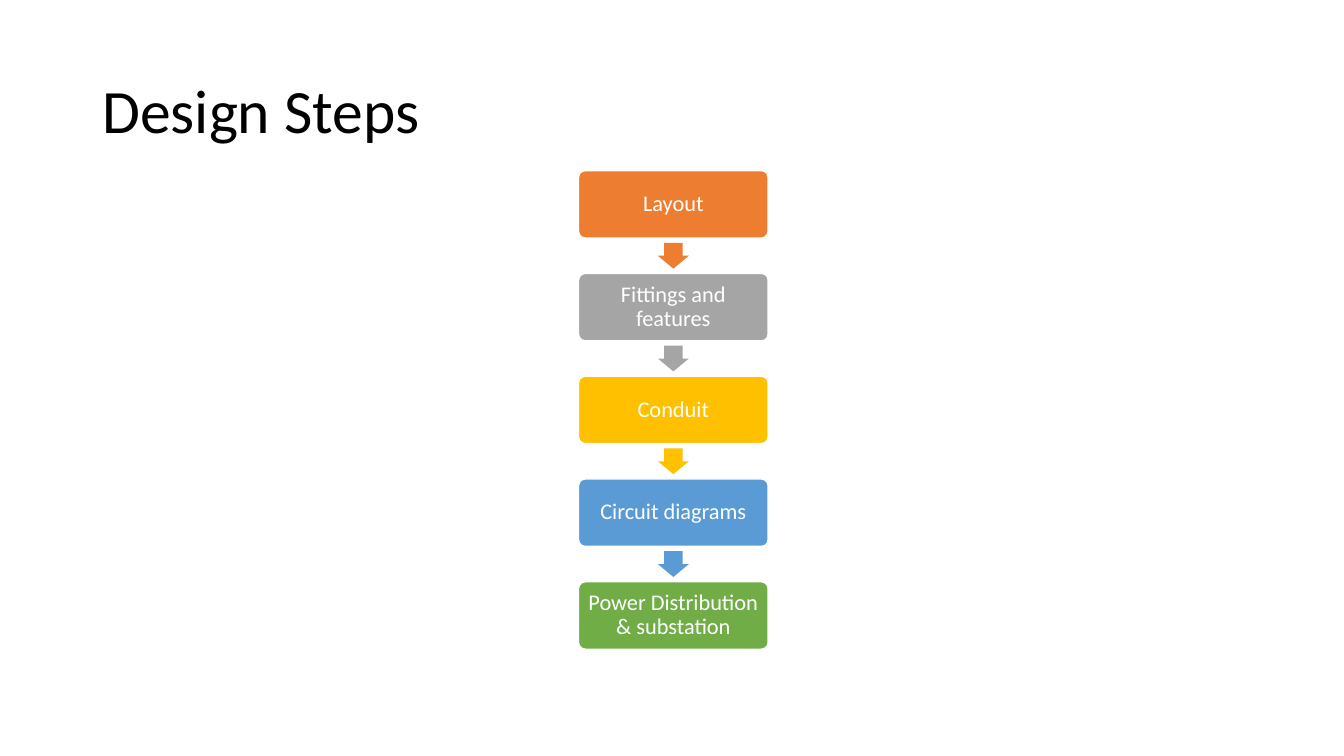
from pptx import Presentation
from pptx.dml.color import RGBColor
from pptx.enum.shapes import MSO_SHAPE
from pptx.enum.text import MSO_ANCHOR, PP_ALIGN
from pptx.util import Cm, Pt

COLORS = {
    "text": "000000",
    "white": "FFFFFF",
    "orange": "ED7D31",
    "gray": "A5A5A5",
    "gold": "FFC000",
    "blue": "5B9BD5",
    "green": "70AD47",
}
STEPS = [
    ("Layout", "orange"),
    ("Fittings and features", "gray"),
    ("Conduit", "gold"),
    ("Circuit diagrams", "blue"),
    ("Power Distribution & substation", "green"),
]


def color(name):
    return RGBColor.from_string(COLORS[name])


def write(sp, text, size=16, fill="white", align=PP_ALIGN.CENTER, inset=(0.17, 0.17)):
    tf = sp.text_frame
    tf.word_wrap = True
    tf.vertical_anchor = MSO_ANCHOR.MIDDLE
    tf.margin_left = tf.margin_right = Cm(inset[0])
    tf.margin_top = tf.margin_bottom = Cm(inset[1])
    p = tf.paragraphs[0]
    p.alignment = align
    p.line_spacing = 0.9
    r = p.add_run()
    r.text = text
    r.font.name = "Calibri"
    r.font.size = Pt(size)
    r.font.color.rgb = color(fill)


def add_block(s, kind, box, fill, adjustments, outline=None):
    sp = s.shapes.add_shape(kind, *map(Cm, box))
    sp.shadow.inherit = False
    for i, value in enumerate(adjustments):
        sp.adjustments[i] = value
    sp.fill.solid()
    sp.fill.fore_color.rgb = color(fill)
    if outline:
        sp.line.color.rgb = color(outline)
        sp.line.width = Pt(1)
    else:
        sp.line.fill.background()
    return sp


def add_title(s, box, text):
    sp = s.shapes.add_textbox(*map(Cm, box))
    write(sp, text, size=44, fill="text", align=PP_ALIGN.LEFT, inset=(0.25, 0.13))


def add_flow(s, box, steps, step_h=1.7, arrow_w=0.78, arrow_h=0.65):
    left, top, width, height = box
    gap = (height - len(steps) * step_h) / (len(steps) - 1)
    for i, (label, fill) in enumerate(steps):
        y = top + i * (step_h + gap)
        sp = add_block(s, MSO_SHAPE.ROUNDED_RECTANGLE, (left, y, width, step_h),
                       fill, [0.1], outline="white")
        write(sp, label)
        # Arrow centred in the gap to the next step
        if i < len(steps) - 1:
            arrow = (left + (width - arrow_w) / 2, y + step_h + (gap - arrow_h) / 2,
                     arrow_w, arrow_h)
            add_block(s, MSO_SHAPE.DOWN_ARROW, arrow, fill, [0.6, 0.5])


def main():
    prs = Presentation()
    prs.slide_width, prs.slide_height = Cm(33.87), Cm(19.05)
    s = prs.slides.add_slide(prs.slide_layouts[6])
    # Title
    add_title(s, (2.33, 1.01, 29.21, 3.68), "Design Steps")
    # Vertical process
    add_flow(s, (14.58, 4.3, 4.78, 12.06), STEPS)
    prs.save("out.pptx")


if __name__ == "__main__":
    main()
